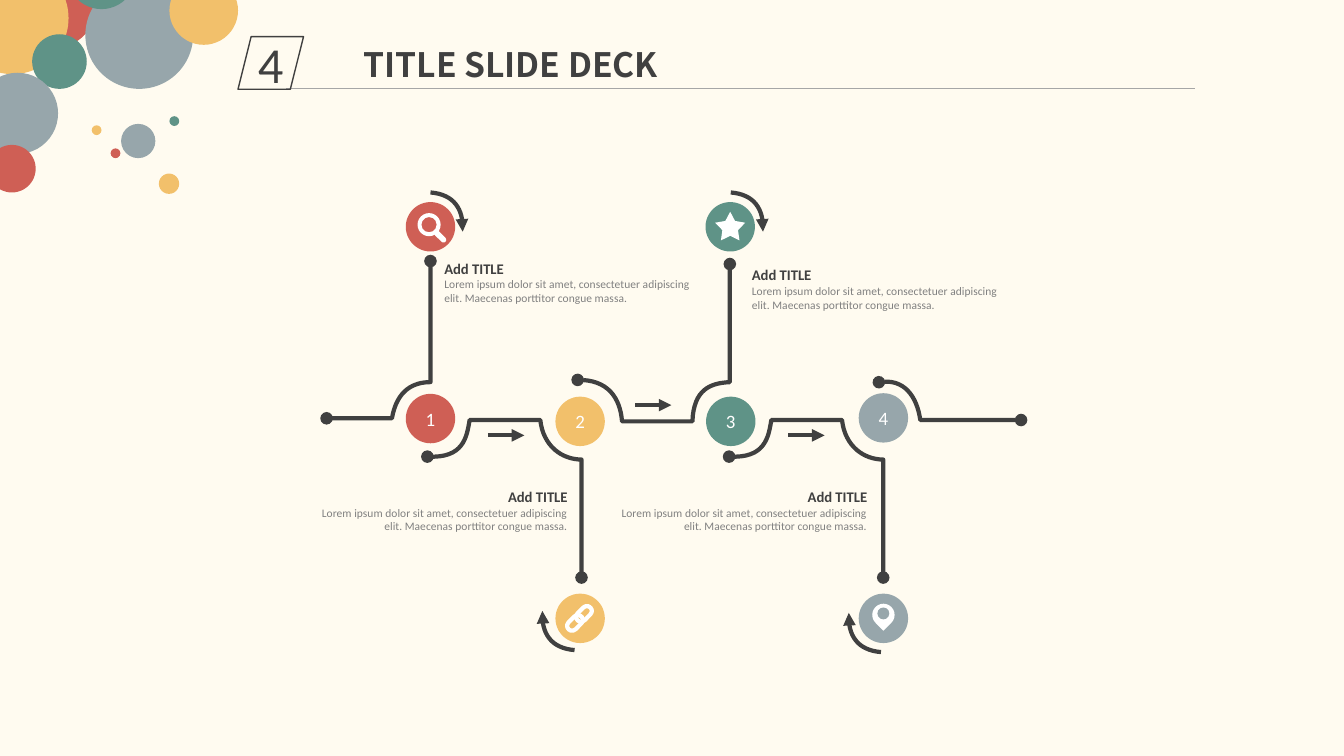
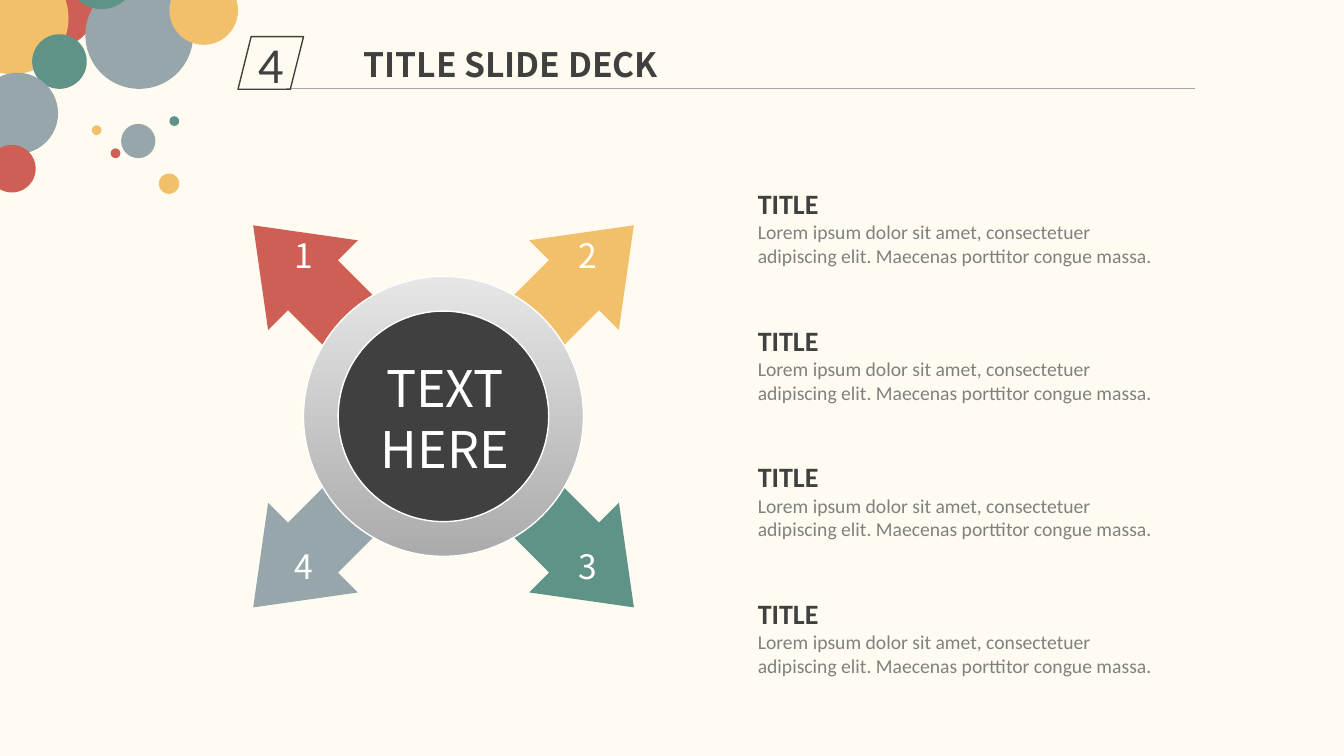
from lxml.etree import SubElement
from pptx import Presentation
from pptx.dml.color import RGBColor
from pptx.enum.shapes import MSO_CONNECTOR, MSO_SHAPE
from pptx.enum.text import MSO_ANCHOR, MSO_AUTO_SIZE, PP_ALIGN
from pptx.oxml.ns import qn
from pptx.util import Pt

CREAM, DARK, GREY, RULE, WHITE = "FFFBF0", "404040", "808080", "A6A6A6", "FFFFFF"
RED, GOLD, TEAL, SLATE = "CF5F55", "F2C06B", "5F9387", "97A6AB"
BODY, HEAD = "Calibri", "Noto Sans CJK SC"
LOREM = ("Lorem ipsum dolor sit amet, consectetuer adipiscing elit. "
         "Maecenas porttitor congue massa.")

# Left, top, diameter, colour
BUBBLES = [
    (3, -32, 67, RED), (-31, -27, 80, GOLD), (23, 24.5, 39, TEAL),
    (-16.5, 52, 58, SLATE), (61, -13.5, 77, SLATE), (48, -42.5, 49, TEAL),
    (-8.5, 103.5, 34, RED), (86.5, 88.5, 24.5, SLATE), (79, 106, 7, RED),
    (65.5, 89.5, 7, GOLD), (121, 83, 7, TEAL), (113.5, 124, 14.5, GOLD),
    (121, -17, 49, GOLD),
]

# Track pieces: a pair is a straight step, six numbers are a Bezier curve
RISE = [(-0.7, -1.2), (46, -1.2), (49.7, -22, 62, -27, 73.5, -27), (73.5, -113.5)]
DIP = [(71.3, 26.2), (97.2, 27.6, 99.4, 12.5, 101.5, 0), (152, 0),
       (154, 19, 167.8, 28.3, 181.4, 28.3), (181.4, 112.6)]
HUMP = [(178.6, -28.6), (200, -29, 209, -16, 210.3, 1), (260.6, 1),
        (261.4, -22, 273.6, -26.4, 287.3, -27), (287.3, -111.4)]
EXIT = [(393.8, -27), (411.8, -30, 421, -17, 423.4, 0), (495.4, 0)]
CURL = [(0, 0), (16.6, 1.4, 23.8, 11.5, 23, 28)]


def rgb(code):
    return RGBColor.from_string(code)


def paint(shape, fill=None, line=None, width=1):
    shape.shadow.inherit = False
    if fill:
        shape.fill.solid()
        shape.fill.fore_color.rgb = rgb(fill)
    else:
        shape.fill.background()
    if line:
        shape.line.color.rgb = rgb(line)
        shape.line.width = Pt(width)
    else:
        shape.line.fill.background()
    return shape


def add(shapes, kind, x, y, w, h, fill=None, line=None, width=1, turn=0, adj=()):
    """Add a preset shape centred on x, y."""
    shape = shapes.add_shape(kind, Pt(x - w / 2), Pt(y - h / 2), Pt(w), Pt(h))
    for i, val in enumerate(adj):
        shape.adjustments[i] = val
    shape.rotation = turn
    return paint(shape, fill, line, width)


def style(para, size, color, font=BODY, bold=False, align=PP_ALIGN.LEFT):
    para.alignment = align
    para.font.size = Pt(size)
    para.font.name = font
    para.font.bold = bold
    para.font.color.rgb = rgb(color)


def label(shape, text, size, color, font=BODY):
    """Centre one line in a shape."""
    frame = shape.text_frame
    frame.margin_left = frame.margin_right = Pt(0)
    frame.margin_top = frame.margin_bottom = Pt(0)
    frame.vertical_anchor = MSO_ANCHOR.MIDDLE
    frame.text = text
    style(frame.paragraphs[0], size, color, font, align=PP_ALIGN.CENTER)


def note(slide, x, y, w, h, title, big, small, align=PP_ALIGN.LEFT):
    """Heading with a paragraph below it."""
    frame = slide.shapes.add_textbox(Pt(x), Pt(y), Pt(w), Pt(h)).text_frame
    frame.word_wrap = True
    frame.text = title
    style(frame.paragraphs[0], big, DARK, bold=True, align=align)
    para = frame.add_paragraph()
    para.text = LOREM
    style(para, small, GREY, align=align)


def sign(slide, x, y, lines, size):
    """White text centred on x, y."""
    w, h = 120, size * 1.2 * len(lines)
    frame = slide.shapes.add_textbox(
        Pt(x - w / 2), Pt(y - h / 2), Pt(w), Pt(h)).text_frame
    frame.margin_top = frame.margin_bottom = Pt(0)
    frame.word_wrap = True
    frame.vertical_anchor = MSO_ANCHOR.MIDDLE
    frame.text = "\n".join(lines)
    for para in frame.paragraphs:
        style(para, size, WHITE, HEAD, align=PP_ALIGN.CENTER)
        if len(lines) > 1:
            para.line_spacing = Pt(size * 1.2)


def tips(shape, head=None, tail=None):
    ln = shape.element.spPr.find(qn("a:ln"))
    for tag, kind in (("a:headEnd", head), ("a:tailEnd", tail)):
        if kind:
            SubElement(ln, qn(tag)).set("type", kind)


def link(slide, x, y, dx, color, width, tail=None):
    line = slide.shapes.add_connector(
        MSO_CONNECTOR.STRAIGHT, Pt(x), Pt(y), Pt(x + dx), Pt(y))
    line.line.color.rgb = rgb(color)
    line.line.width = Pt(width)
    tips(line, tail=tail)
    SubElement(line.element.spPr, qn("a:effectLst"))


def trace(slide, x, y, steps, head, tail, sign=1, parts=16):
    """Draw an open path from x, y; sign -1 turns it half round."""
    dots = [steps[0]]
    for step in steps[1:]:
        if len(step) == 2:
            dots.append(step)
            continue
        ends = [dots[-1], step[:2], step[2:4], step[4:]]
        for i in range(1, parts + 1):
            t = i / parts
            mix = ((1 - t) ** 3, 3 * t * (1 - t) ** 2, 3 * t * t * (1 - t), t ** 3)
            dots.append(tuple(sum(m * p[k] for m, p in zip(mix, ends))
                              for k in (0, 1)))
    dots = [(Pt(x + sign * a), Pt(y + sign * b)) for a, b in dots]
    pen = slide.shapes.build_freeform(*dots[0])
    pen.add_line_segments(dots[1:], close=False)
    tips(paint(pen.convert_to_shape(), line=DARK, width=3), head, tail)


# Icons, each centred on its disc
def lens(shapes, x, y):
    add(shapes, MSO_SHAPE.DONUT, x - 1, y - 1.5, 16.5, 16.5, WHITE, adj=[0.17])
    add(shapes, MSO_SHAPE.ROUNDED_RECTANGLE, x + 7, y + 7, 10.5, 4, WHITE,
        turn=45, adj=[0.5])


def chain(shapes, x, y):
    for side in (-1, 1):
        add(shapes, MSO_SHAPE.ROUNDED_RECTANGLE, x - 0.5 + 3.2 * side,
            y - 3.2 * side, 13, 7, line=WHITE, width=3, turn=-45, adj=[0.5])


def star(shapes, x, y):
    add(shapes, MSO_SHAPE.STAR_5_POINT, x, y - 0.5, 21.5, 20.5, WHITE, adj=[0.26])


def pin(shapes, x, y):
    add(shapes, MSO_SHAPE.TEAR, x, y - 2.5, 16, 16, WHITE, turn=135)
    add(shapes, MSO_SHAPE.OVAL, x, y - 3.5, 8.5, 8.5, SLATE)


# Colour, number centre, icon centre, curl start, curl turn, icon
STOPS = [
    (RED, (73.5, -1), (73.5, -138), (73.5, -162.5), 1, lens),
    (GOLD, (180.4, 1), (180.4, 141.7), (176.4, 164.4), -1, chain),
    (TEAL, (288, 1), (287.6, -138), (288, -162.5), 1, star),
    (SLATE, (397, -1.5), (397, 141.7), (395.3, 165.8), -1, pin),
]
# Left and top of each note, alignment
NOTES = [(76.3, -118.2, PP_ALIGN.LEFT), (296, -113.5, PP_ALIGN.LEFT),
         (-20, 45, PP_ALIGN.RIGHT), (194, 45, PP_ALIGN.RIGHT)]


def header(slide, x, y):
    """Bubbles, rule, number tag and title."""
    group = slide.shapes.add_group_shape().shapes
    for left, top, d, color in BUBBLES:
        add(group, MSO_SHAPE.OVAL, left + d / 2, top + d / 2, d, d, color)
    link(slide, x + 34.5, y + 37.4, 649, RULE, 0.5)
    tag = add(slide.shapes, MSO_SHAPE.PARALLELOGRAM, x + 23.4, y + 19, 46.8, 37.6,
              line=DARK)
    label(tag, "4", 36, DARK)
    title = slide.shapes.title
    title.left, title.top, title.width, title.height = (
        Pt(x + 82.5), Pt(y + 1.5), Pt(369), Pt(36))
    frame = title.text_frame
    frame.text = "TITLE SLIDE DECK"
    frame.auto_size = MSO_AUTO_SIZE.NONE
    frame.vertical_anchor = MSO_ANCHOR.MIDDLE
    style(frame.paragraphs[0], 24, DARK, HEAD, True)


def flow(slide, x, y):
    """Winding track with four stops; x, y is its left end."""
    for dx, steps in ((0, RISE), (0, DIP), (0, HUMP), (0, EXIT), (215.5, DIP)):
        trace(slide, x + dx, y, steps, "oval", "oval")
    for dx, dy in ((114.5, 11), (219.6, -10.6), (329, 11)):
        link(slide, x + dx, y + dy, 26, DARK, 3, "triangle")
    for num, (color, spot, top, curl, turn, icon) in enumerate(STOPS, 1):
        trace(slide, x + curl[0], y + curl[1], CURL, None, "triangle", turn)
        for dx, dy in (spot, top):
            disc = add(slide.shapes, MSO_SHAPE.OVAL, x + dx, y + dy, 35.3, 35.3, color)
            if (dx, dy) == spot:
                label(disc, str(num), 13.5, WHITE)
        icon(slide.shapes, x + top[0], y + top[1])
    for dx, dy, align in NOTES:
        note(slide, x + dx, y + dy, 198.5, 40, "Add TITLE", 10.5, 8.25, align)


def wheel(slide, x, y):
    """Ring with four arrows, centred on x, y."""
    shapes = slide.shapes
    marks = [(-1, -1, RED, 315), (1, -1, GOLD, 45), (1, 1, TEAL, 135), (-1, 1, SLATE, 225)]
    for dx, dy, color, turn in marks:
        add(shapes, MSO_SHAPE.UP_ARROW, x + 83 * dx, y + 83.5 * dy, 90.7, 149.8,
            color, turn=turn, adj=[0.556, 0.667])
    add(shapes, MSO_SHAPE.OVAL, x, y, 200, 200, DARK)
    ring = add(shapes, MSO_SHAPE.DONUT, x, y, 200, 200, RULE, WHITE, adj=[0.124])
    ring.fill.gradient()
    ring.fill.gradient_angle = 90
    for stop, color in zip(ring.fill.gradient_stops, ("ABABAB", "E6E6E6")):
        stop.color.rgb = rgb(color)
    for num, (dx, dy, color, turn) in enumerate(marks, 1):
        sign(slide, x + 1.5 + 101.5 * dx, y - 4 + 111 * dy, [str(num)], 24)
    sign(slide, x + 1, y + 1, ["TEXT", "HERE"], 36)


def roll(slide, x, y, w, gap):
    """Column of four notes."""
    for i in range(4):
        note(slide, x, y + i * gap, w, 65.5, "TITLE", 20, 14)


def main():
    deck = Presentation()
    deck.slide_width, deck.slide_height = Pt(960), Pt(540)
    back = deck.slide_master.background.fill
    back.solid()
    back.fore_color.rgb = rgb(CREAM)
    first, second = (deck.slides.add_slide(deck.slide_layouts[5]) for _ in range(2))
    flow(first, 234, 300)
    wheel(second, 316.8, 297.4)
    roll(second, 534.2, 129.8, 296.6, 97.6)
    for slide in (first, second):
        header(slide, 170, 26)
    deck.save("out.pptx")


if __name__ == "__main__":
    main()
